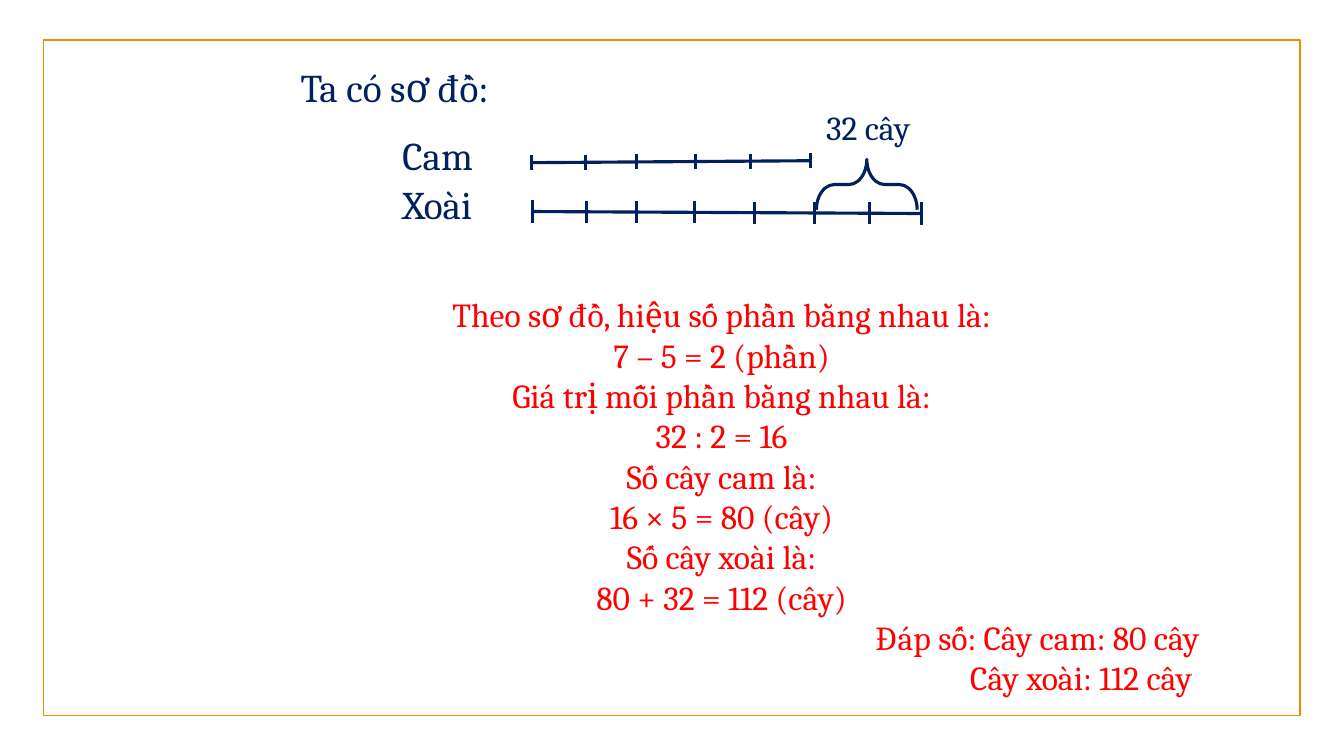
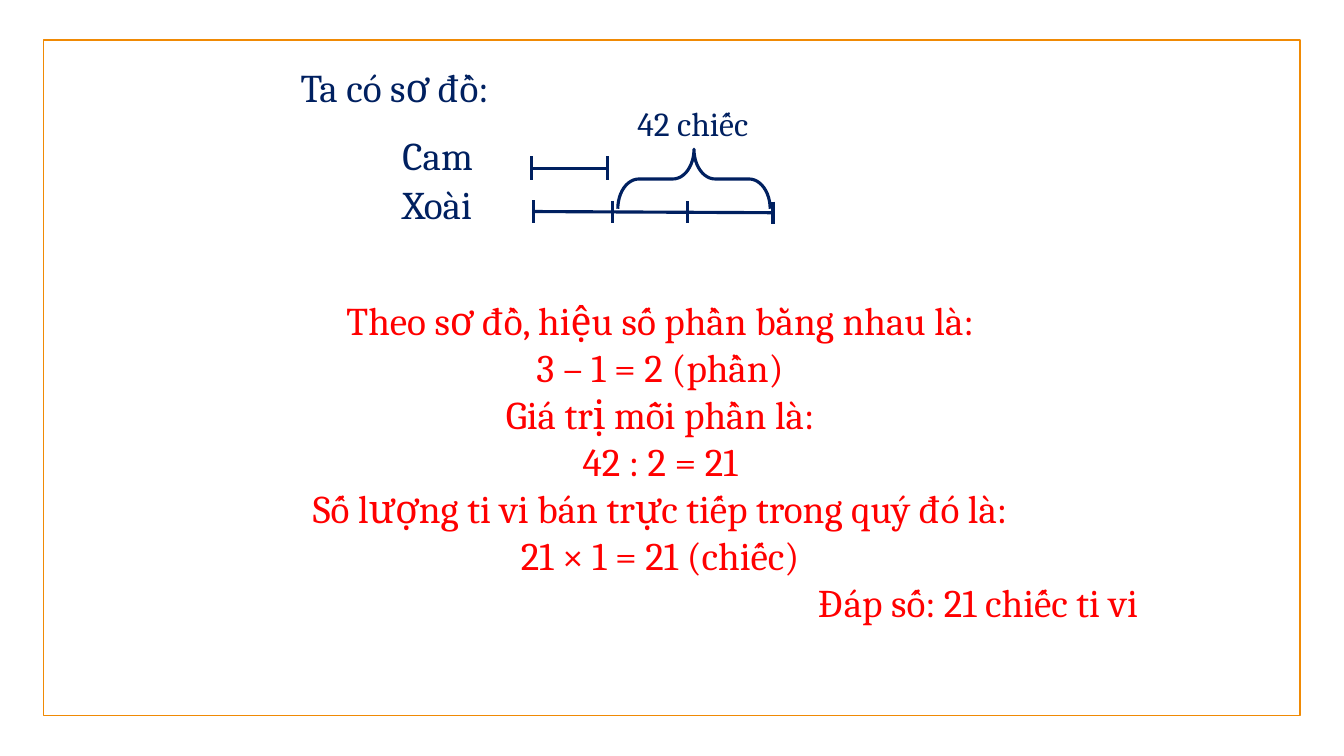
"""Build two slides that solve difference-and-ratio problems with bar diagrams."""
from lxml import etree
from pptx import Presentation
from pptx import util as u
from pptx.dml.color import RGBColor
from pptx.enum import shapes, text
from pptx.oxml.ns import qn

NAVY, RED, ORANGE, WHITE = "002060", "FF0000", "F08A04", "FFFFFF"
FONT = "Cambria"
LEFT, CENTER, RIGHT = text.PP_ALIGN.LEFT, text.PP_ALIGN.CENTER, text.PP_ALIGN.RIGHT

TITLE = "Ta có sơ đồ:"
FRAME = (1.09, 1.01, 31.67, 17.02)
TITLE_BOX = (7.32, 1.47, 9.19, 1.45)
ROW_LABELS = [("Cam", (9.89, 3.45, 3, 0.91)), ("Xoài", (9.89, 4.65, 3, 0.99))]

SLIDES = [
    {
        "bars": [
            {"y": (4.1, 4.05), "tick": 0.38,
             "marks": [13.39, 14.76, 16.03, 17.53, 18.92, 20.42]},
            {"y": (5.33, 5.38), "tick": 0.56,
             "marks": [13.41, 14.78, 16.05, 17.5, 19.02, 20.52, 21.92, 23.22]},
        ],
        "brace": (21.21, 3.38, 1.27, 2.54),
        "difference": ("32 cây", (19.88, 2.84, 4, 0.74)),
        "solution_box": (5.89, 7.29, 24.59, 10.52),
        "size": 24,
        "steps": [
            "Theo sơ đồ, hiệu số phần bằng nhau là:",
            "7 – 5 = 2 (phần)",
            "Giá trị mỗi phần bằng nhau là:",
            "32 : 2 = 16",
            "Số cây cam là:",
            "16 × 5 = 80 (cây)",
            "Số cây xoài là:",
            "80 + 32 = 112 (cây)",
        ],
        "answers": ["Đáp số: Cây cam: 80 cây", "Cây xoài: 112 cây "],
    },
    {
        "bars": [
            {"y": (4.24, 4.24), "tick": 0.61, "marks": [13.39, 15.32]},
            {"y": (5.33, 5.36), "tick": 0.56, "marks": [13.44, 15.44, 17.32, 19.48]},
        ],
        "brace": (16.74, 2.59, 1.5, 3.84),
        "difference": ("42 chiếc", (15.46, 2.72, 4, 0.74)),
        "solution_box": (4.34, 7.34, 24.59, 8.64),
        "size": 28,
        "steps": [
            "Theo sơ đồ, hiệu số phần bằng nhau là:",
            "3 – 1 = 2 (phần)",
            "Giá trị mỗi phần là:",
            "42 : 2 = 21",
            "Số lượng ti vi bán trực tiếp trong quý đó là:",
            "21 × 1 = 21 (chiếc)",
        ],
        "answers": ["Đáp số: 21 chiếc ti vi"],
    },
]


def rgb(color):
    """Turn a hex string into a colour."""
    return RGBColor.from_string(color)


def cm(values):
    """Turn numbers into lengths in centimetres."""
    return [u.Cm(v) for v in values]


def place(sp, box):
    """Move and size a shape."""
    sp.left, sp.top, sp.width, sp.height = cm(box)


def write(tf, lines, size, color):
    """Fill a text frame with (text, alignment) lines, without bullets."""
    for i, (line, align) in enumerate(lines):
        p = tf.add_paragraph() if i else tf.paragraphs[0]
        p.alignment = align
        p.space_before = u.Pt(0)
        pPr = p._p.get_or_add_pPr()
        pPr.set("marL", "0")
        pPr.set("indent", "0")
        etree.SubElement(pPr, qn("a:buNone"))
        r = p.add_run()
        r.text = line
        r.font.name, r.font.size = FONT, u.Pt(size)
        r.font.color.rgb = rgb(color)


def fill_placeholder(sp, box, lines, size, color):
    """Place a placeholder and write its text from the top."""
    place(sp, box)
    tf = sp.text_frame
    tf.word_wrap = True
    tf.auto_size = text.MSO_AUTO_SIZE.NONE
    tf.vertical_anchor = text.MSO_ANCHOR.TOP
    write(tf, lines, size, color)


def add_frame(s):
    """Draw the page frame behind everything else."""
    sp = s.shapes.add_shape(shapes.MSO_SHAPE.RECTANGLE, *cm(FRAME))
    sp.shadow.inherit = False
    sp.fill.solid()
    sp.fill.fore_color.rgb = rgb(WHITE)
    sp.line.color.rgb = rgb(ORANGE)
    sp.line.width = u.Pt(1)
    s.shapes.element.insert(2, sp.element)


def add_label(s, label, box, size, align):
    """Add a one-line diagram label."""
    tf = s.shapes.add_textbox(*cm(box)).text_frame
    tf.word_wrap = False
    tf.vertical_anchor = text.MSO_ANCHOR.MIDDLE
    write(tf, [(label, align)], size, NAVY)


def add_line(group, x1, y1, x2, y2):
    """Draw one straight navy line."""
    cx = group.shapes.add_connector(shapes.MSO_CONNECTOR.STRAIGHT, *cm((x1, y1, x2, y2)))
    cx.line.color.rgb = rgb(NAVY)
    cx.line.width = u.Pt(2.25)
    etree.SubElement(cx.element.spPr, qn("a:effectLst"))


def add_bar(s, bar):
    """Draw a segment bar with a tick centred on it at each mark."""
    group = s.shapes.add_group_shape()
    marks, (y1, y2), half = bar["marks"], bar["y"], bar["tick"] / 2
    first, last = marks[0], marks[-1]
    add_line(group, first, y1, last, y2)
    for x in marks:
        y = y1 + (y2 - y1) * (x - first) / (last - first)
        add_line(group, x, y - half, x, y + half)


def add_brace(s, box):
    """Draw the brace that spans the difference."""
    sp = s.shapes.add_shape(shapes.MSO_SHAPE.RIGHT_BRACE, *cm(box))
    sp.rotation = 270
    sp.adjustments[0], sp.adjustments[1] = 0.355, 0.5
    sp.shadow.inherit = False
    sp.fill.background()
    sp.line.color.rgb = rgb(NAVY)
    sp.line.width = u.Pt(2.25)


def add_problem(prs, data):
    """Add one slide with its diagram and its solution."""
    s = prs.slides.add_slide(prs.slide_layouts[1])
    add_frame(s)
    fill_placeholder(s.shapes.title, TITLE_BOX, [(TITLE, LEFT)], 28, NAVY)
    for label, box in ROW_LABELS:
        add_label(s, label, box, 28, LEFT)
    for bar in data["bars"]:
        add_bar(s, bar)
    add_brace(s, data["brace"])
    add_label(s, *data["difference"], 24, CENTER)
    lines = [(t, CENTER) for t in data["steps"]] + [(t, RIGHT) for t in data["answers"]]
    fill_placeholder(s.placeholders[1], data["solution_box"], lines, data["size"], RED)


def main():
    """Build and save the presentation."""
    prs = Presentation()
    prs.slide_width, prs.slide_height = cm((33.87, 19.05))
    for data in SLIDES:
        add_problem(prs, data)
    prs.save("out.pptx")


if __name__ == "__main__":
    main()
